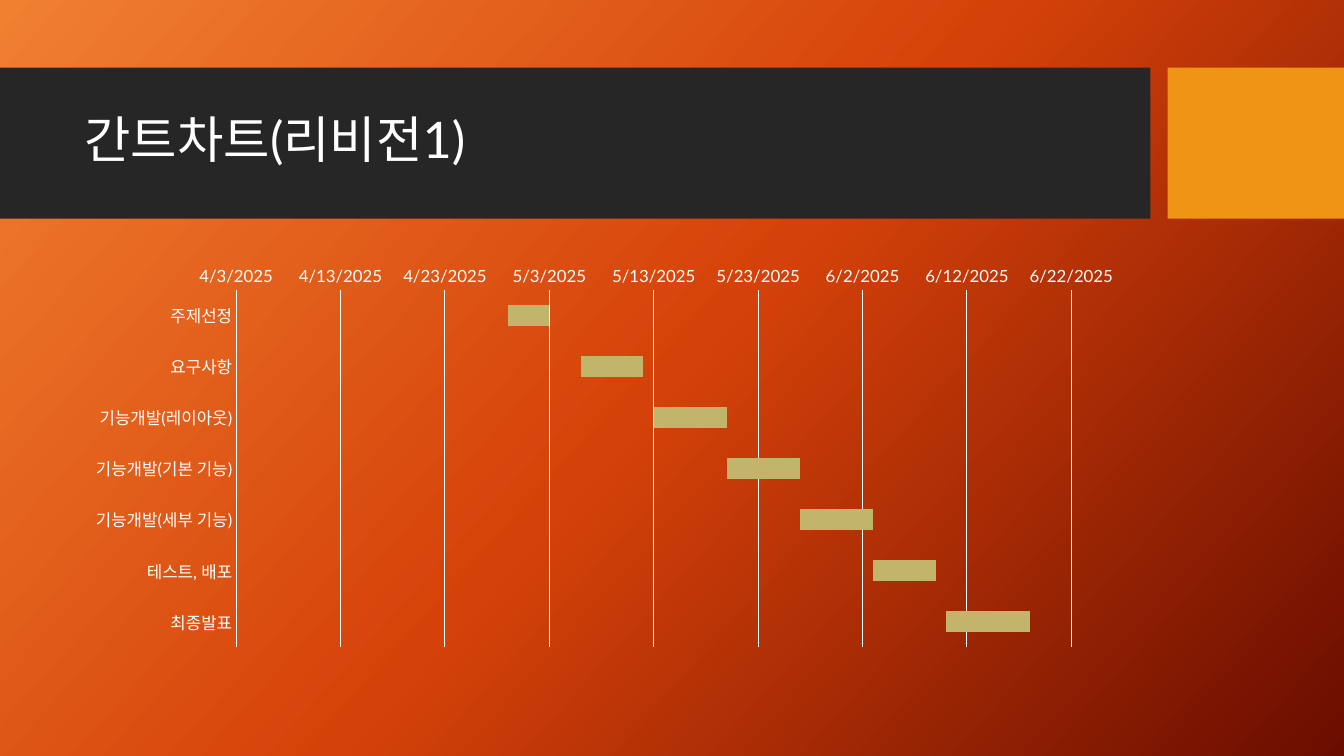
from copy import deepcopy
from dataclasses import dataclass

from pptx import Presentation
from pptx.chart.data import CategoryChartData
from pptx.dml.color import RGBColor
from pptx.enum.chart import XL_CHART_TYPE as ChartType, XL_TICK_MARK as TickMark
from pptx.enum.shapes import MSO_SHAPE as Preset
from pptx.enum.text import MSO_ANCHOR as Anchor, PP_ALIGN as Align
from pptx.oxml.ns import qn
from pptx.util import Inches, Pt


@dataclass(frozen=True)
class Theme:
    font: str = "Lato"
    white: str = "FFFFFF"
    band: str = "262626"
    accent: str = "F09415"
    task: str = "C1B56B"
    backdrop: tuple = ((0, "F18031"), (50, "D54209"), (100, "6A0D00"))
    title_size: int = 36
    axis_size: int = 12
    chart_size: int = 10
    line_width: float = 0.75


THEME = Theme()

# Days are counted from 3 April 2025, held as a spreadsheet date serial
FIRST_DAY = 45750
DAYS_SHOWN = 80
DAYS_PER_GRIDLINE = 10
TASKS = [  # name, start day, length in days
    ("주제선정", 26, 4),
    ("요구사항", 33, 6),
    ("기능개발(레이아웃)", 40, 7),
    ("기능개발(기본 기능)", 47, 7),
    ("기능개발(세부 기능)", 54, 7),
    ("테스트, 배포", 61, 6),
    ("최종발표", 68, 8),
]


def color(code):
    return RGBColor.from_string(code)


def style_font(font, size):
    font.name = THEME.font
    font.size = Pt(size)
    font.color.rgb = color(THEME.white)


def style_line(line):
    line.color.rgb = color(THEME.white)
    line.width = Pt(THEME.line_width)


def paint_background(page):
    fill = page.background.fill
    fill.gradient()
    fill.gradient_angle = 360 - 42
    # The default gradient has two stops; a third one is added
    stop_list = next(page.element.iter(qn("a:gsLst")))
    stop_list.append(deepcopy(stop_list[-1]))
    for stop, (percent, code) in zip(fill.gradient_stops, THEME.backdrop):
        stop.position = percent / 100
        stop.color.rgb = color(code)


def add_block(page, left, top, width, height, code):
    block = page.shapes.add_shape(
        Preset.RECTANGLE, Inches(left), Inches(top), Inches(width), Inches(height))
    block.shadow.inherit = False
    block.fill.solid()
    block.fill.fore_color.rgb = color(code)
    block.line.fill.background()


def add_title(page, text):
    box = page.shapes.add_textbox(
        Inches(0.74), Inches(0.82), Inches(10.51), Inches(1.18))
    frame = box.text_frame
    frame.word_wrap = True
    frame.vertical_anchor = Anchor.MIDDLE
    frame.text = text
    para = frame.paragraphs[0]
    para.alignment = Align.LEFT
    para.line_spacing = 0.9
    style_font(para.runs[0].font, THEME.title_size)


def style_axes(chart):
    for axis in (chart.category_axis, chart.value_axis):
        axis.major_tick_mark = axis.minor_tick_mark = TickMark.NONE
        style_font(axis.tick_labels.font, THEME.axis_size)

    # Tasks run from top to bottom, which puts the dates on top
    tasks = chart.category_axis
    tasks.reverse_order = True
    tasks.has_major_gridlines = False
    style_line(tasks.format.line)

    dates = chart.value_axis
    dates.minimum_scale = FIRST_DAY
    dates.maximum_scale = FIRST_DAY + DAYS_SHOWN
    dates.major_unit = DAYS_PER_GRIDLINE
    dates.has_major_gridlines = True
    style_line(dates.major_gridlines.format.line)
    dates.format.line.fill.background()
    dates.tick_labels.number_format = "m/d/yyyy"
    dates.tick_labels.number_format_is_linked = False


def add_gantt(page):
    names, starts, lengths = zip(*TASKS)
    chart_data = CategoryChartData()
    chart_data.categories = names
    chart_data.add_series("Series 1", [FIRST_DAY + start for start in starts])
    chart_data.add_series("Series 2", lengths)
    chart = page.shapes.add_chart(
        ChartType.BAR_STACKED, Inches(0.74), Inches(2.56),
        Inches(10.51), Inches(3.94), chart_data).chart
    chart.has_legend = False
    chart.has_title = False
    style_font(chart.font, THEME.chart_size)
    style_axes(chart)

    # The start series only offsets the visible task bars
    plot = chart.plots[0]
    plot.gap_width = 150
    plot.overlap = 100
    plot.vary_by_categories = False
    offset, duration = plot.series
    offset.format.fill.background()
    duration.format.fill.solid()
    duration.format.fill.fore_color.rgb = color(THEME.task)


def main():
    deck = Presentation()
    deck.slide_width, deck.slide_height = Inches(13.33), Inches(7.5)
    page = deck.slides.add_slide(deck.slide_layouts[6])
    paint_background(page)

    # Title band with its accent block
    add_block(page, 0, 0.67, 11.41, 1.5, THEME.band)
    add_block(page, 11.58, 0.67, 1.75, 1.5, THEME.accent)
    add_title(page, "간트차트(리비전1)")

    # Schedule
    add_gantt(page)
    deck.save("out.pptx")


if __name__ == "__main__":
    main()
